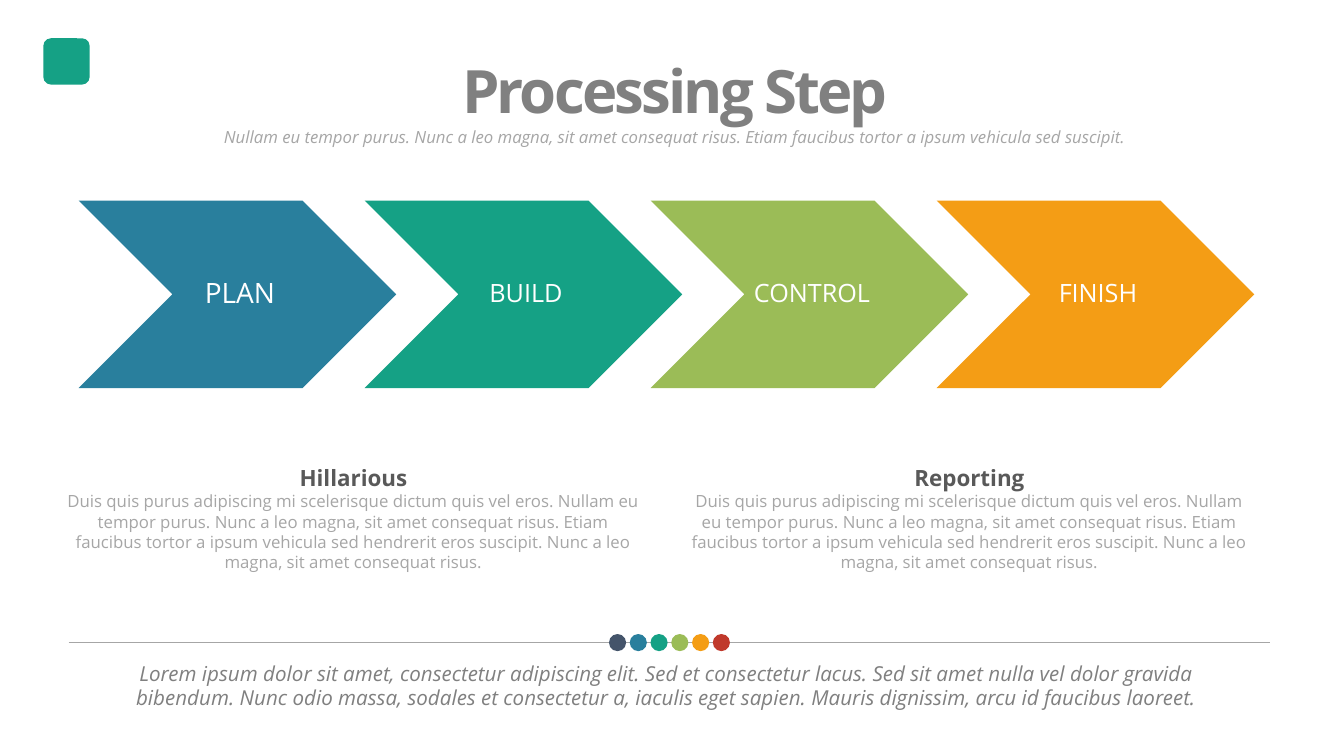
import pptx
import pptx.dml.color
import pptx.enum.shapes
import pptx.enum.text
import pptx.oxml.ns
import pptx.util
from pptx.util import Inches

RGBColor = pptx.dml.color.RGBColor
MSO_SHAPE = pptx.enum.shapes.MSO_SHAPE
MSO_ANCHOR = pptx.enum.text.MSO_ANCHOR
MSO_AUTO_SIZE = pptx.enum.text.MSO_AUTO_SIZE

NAVY = RGBColor(0x44, 0x54, 0x6A)
BLUE = RGBColor(0x29, 0x7F, 0x9D)
TEAL = RGBColor(0x15, 0xA1, 0x85)
GREEN = RGBColor(0x9B, 0xBC, 0x57)
ORANGE = RGBColor(0xF4, 0x9D, 0x15)
RED = RGBColor(0xC0, 0x39, 0x2B)
WHITE = RGBColor(0xFF, 0xFF, 0xFF)
DARK_GRAY = RGBColor(0x59, 0x59, 0x59)
GRAY = RGBColor(0x80, 0x80, 0x80)
LIGHT_GRAY = RGBColor(0xA6, 0xA6, 0xA6)

FONT = "Open Sans"
STEPS = [("PLAN", BLUE, 20), ("BUILD", TEAL, 18),
         ("CONTROL", GREEN, 18), ("FINISH", ORANGE, 18)]
DOT_COLORS = [NAVY, BLUE, TEAL, GREEN, ORANGE, RED]

SUBTITLE = ("Nullam eu tempor purus. Nunc a leo magna, sit amet consequat risus. "
            "Etiam faucibus tortor a ipsum vehicula sed suscipit.")
DETAILS = ("Duis quis purus adipiscing mi scelerisque dictum quis vel eros. "
           "Nullam eu tempor purus. Nunc a leo magna, sit amet consequat risus. "
           "Etiam faucibus tortor a ipsum vehicula sed hendrerit eros suscipit. "
           "Nunc a leo magna, sit amet consequat risus.")
SUMMARY = ("Lorem ipsum dolor sit amet, consectetur adipiscing elit. Sed et "
           "consectetur lacus. Sed sit amet nulla vel dolor gravida bibendum. "
           "Nunc odio massa, sodales et consectetur a, iaculis eget sapien. "
           "Mauris dignissim, arcu id faucibus laoreet.")


def write_text(paragraph, text, *, size, color, bold=False, italic=False,
               line_spacing=None, tracking=None):
    """Write one centred run; tracking is in hundredths of a point."""
    paragraph.alignment = pptx.enum.text.PP_ALIGN.CENTER
    if line_spacing:
        paragraph.line_spacing = line_spacing
    run = paragraph.add_run()
    run.text = text
    run.font.name = FONT
    run.font.size = pptx.util.Pt(size)
    run.font.bold = bold
    run.font.italic = italic
    run.font.color.rgb = color
    if tracking is not None:
        run.font._element.set("spc", str(tracking))


def format_frame(frame, *, anchor=MSO_ANCHOR.TOP, wrap=True, left=0.07, right=0.07,
                 auto_size=MSO_AUTO_SIZE.SHAPE_TO_FIT_TEXT):
    frame.word_wrap = wrap
    frame.auto_size = auto_size
    frame.vertical_anchor = anchor
    frame.margin_left, frame.margin_right = Inches(left), Inches(right)
    frame.margin_top = frame.margin_bottom = Inches(0.03)


def add_text_box(slide, box, **frame_format):
    frame = slide.shapes.add_textbox(*map(Inches, box)).text_frame
    format_frame(frame, **frame_format)
    return frame


def add_filled_shape(shapes, kind, box, color):
    shape = shapes.add_shape(kind, *map(Inches, box))
    shape.shadow.inherit = False
    shape.fill.solid()
    shape.fill.fore_color.rgb = color
    shape.line.fill.background()
    return shape


def add_header(slide, box):
    left, top, width, height = box
    title = slide.shapes.title
    title.left, title.top = Inches(left + 3.68), Inches(top)
    title.width, title.height = Inches(4.37), Inches(0.79)
    format_frame(title.text_frame, wrap=False)
    write_text(title.text_frame.paragraphs[0], "Processing Step", size=42.7,
               color=GRAY, bold=True, tracking=-200)
    subtitle_height = 0.27
    subtitle = add_text_box(
        slide, (left, top + height - subtitle_height, width, subtitle_height),
        anchor=MSO_ANCHOR.MIDDLE)
    write_text(subtitle.paragraphs[0], SUBTITLE, size=12, color=LIGHT_GRAY, italic=True)


def add_process(slide, box):
    left, top, width, height = box
    step_width = 3.15
    pitch = (width - step_width) / (len(STEPS) - 1)
    group = slide.shapes.add_group_shape()
    for index, (label, color, size) in enumerate(STEPS):
        chevron = add_filled_shape(
            group.shapes, MSO_SHAPE.CHEVRON,
            (left + index * pitch, top, step_width, height), color)
        format_frame(chevron.text_frame, anchor=MSO_ANCHOR.MIDDLE, left=0.08,
                     right=0.03, auto_size=MSO_AUTO_SIZE.NONE)
        write_text(chevron.text_frame.paragraphs[0], label, size=size,
                   color=WHITE, line_spacing=0.9)


def add_description(slide, box, heading):
    frame = add_text_box(slide, box)
    write_text(frame.paragraphs[0], heading, size=16, color=DARK_GRAY, bold=True,
               line_spacing=2.0)
    write_text(frame.add_paragraph(), DETAILS, size=12, color=LIGHT_GRAY)


def add_divider(slide, box):
    """Draw a horizontal rule with a row of dots at its middle."""
    left, top, width, dot_size = box
    middle = top + dot_size / 2
    pitch = 0.206
    group = slide.shapes.add_group_shape()
    rule = group.shapes.add_connector(
        pptx.enum.shapes.MSO_CONNECTOR.STRAIGHT,
        *map(Inches, (left, middle, left + width, middle)))
    rule.line.color.rgb = LIGHT_GRAY
    rule.line.width = pptx.util.Pt(0.75)
    rule._element.spPr.append(pptx.oxml.parse_xml(
        f"<a:effectLst {pptx.oxml.ns.nsdecls('a')}/>"))
    row_width = pitch * (len(DOT_COLORS) - 1) + dot_size
    first_left = left + (width - row_width) / 2
    for index, color in enumerate(DOT_COLORS):
        add_filled_shape(group.shapes, MSO_SHAPE.OVAL,
                         (first_left + index * pitch, top, dot_size, dot_size), color)


def add_summary(slide, box):
    frame = add_text_box(slide, box, anchor=MSO_ANCHOR.MIDDLE)
    write_text(frame.paragraphs[0], SUMMARY, size=14.7, color=GRAY, italic=True)


def main():
    presentation = pptx.Presentation()
    presentation.slide_width = Inches(13.33)
    presentation.slide_height = Inches(7.5)
    slide = presentation.slides.add_slide(
        presentation.slide_layouts.get_by_name("Title Only"))
    add_filled_shape(slide.shapes, MSO_SHAPE.ROUNDED_RECTANGLE,
                     (0.43, 0.38, 0.46, 0.46), TEAL)
    add_process(slide, (0.78, 1.99, 11.66, 1.86))
    add_description(slide, (0.56, 4.31, 5.89, 1.41), "Hillarious")
    add_description(slide, (6.78, 4.31, 5.67, 1.41), "Reporting")
    add_header(slide, (0.83, 0.5, 11.73, 0.99))
    add_summary(slide, (0.89, 6.52, 11.44, 0.56))
    add_divider(slide, (0.68, 6.29, 11.92, 0.17))
    presentation.save("out.pptx")


if __name__ == "__main__":
    main()
